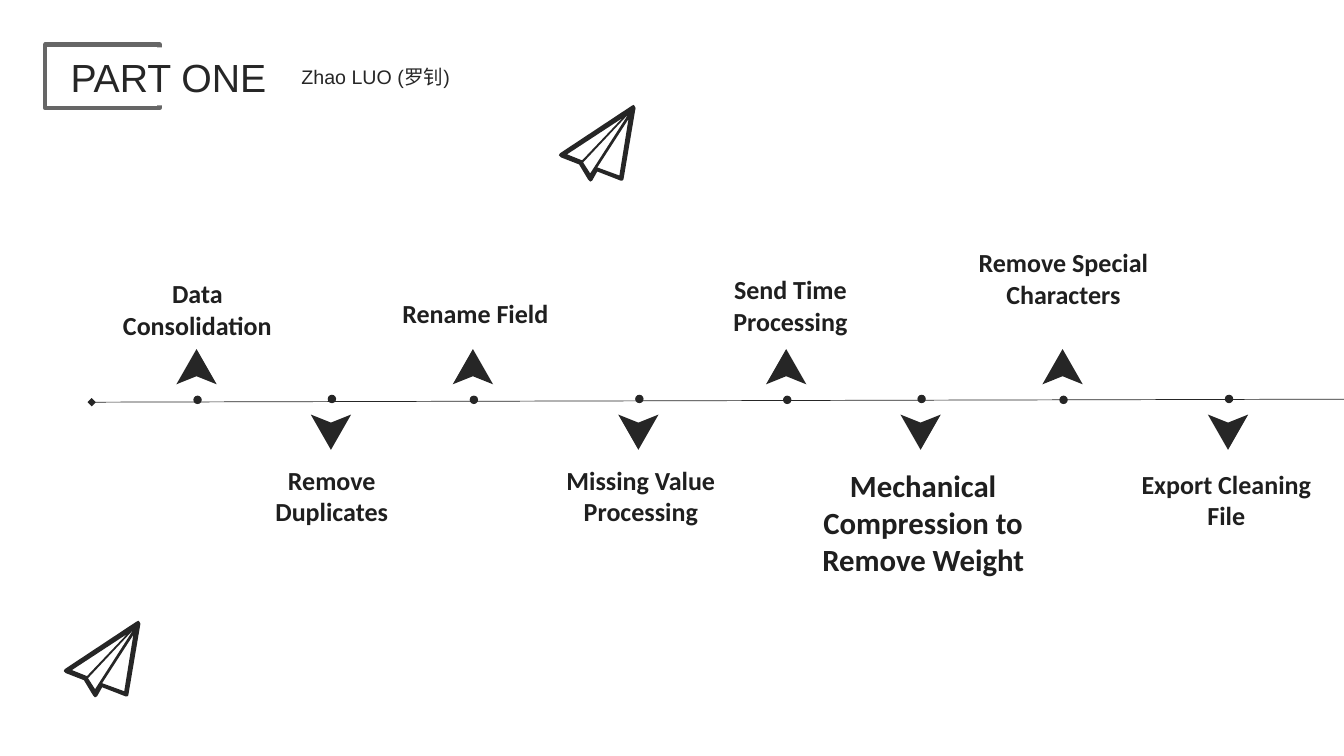
from dataclasses import dataclass

from lxml import etree
from pptx import Presentation
from pptx import util as u
from pptx.dml.color import RGBColor
from pptx.enum import shapes, text
from pptx.oxml import ns

COLUMNS, ROWS = 160, 90
CELL = 76200
FINE = 0.12


@dataclass(frozen=True)
class Theme:
    ink: RGBColor = RGBColor(0x26, 0x26, 0x26)
    label: RGBColor = RGBColor(0x1F, 0x1F, 0x1F)
    frame: RGBColor = RGBColor(0x66, 0x66, 0x66)
    paper: RGBColor = RGBColor(0xFF, 0xFF, 0xFF)
    head_font: str = "Arial"
    label_font: str = "Calibri"
    title_size: float = 28
    author_size: float = 14
    label_size: float = 18.6
    large_size: float = 22


def cells(*values):
    return [u.Emu(round(v * CELL)) for v in values]


class Deck:
    def __init__(self, theme):
        self.theme = theme
        self.prs = Presentation()
        self.prs.slide_width, self.prs.slide_height = cells(COLUMNS, ROWS)
        self.s = self.prs.slides.add_slide(self.prs.slide_layouts[5])

    def set_text(self, sp, words, size, font, color, align, anchor, bold=False):
        tf = sp.text_frame
        tf.word_wrap = True
        tf.auto_size = text.MSO_AUTO_SIZE.NONE
        tf.vertical_anchor = anchor
        p = tf.paragraphs[0]
        p.text = words
        p.alignment = align
        p.font.size = u.Pt(size)
        p.font.name = font
        p.font.bold = bold
        p.font.color.rgb = color

    def heading(self, sp, words, size):
        sp.fill.solid()
        sp.fill.fore_color.rgb = self.theme.paper
        self.set_text(sp, words, size, self.theme.head_font, self.theme.ink,
                      text.PP_ALIGN.LEFT, text.MSO_ANCHOR.MIDDLE)

    def title(self, words, *box):
        sp = self.s.shapes.title
        sp.left, sp.top, sp.width, sp.height = cells(*box)
        self.s.shapes.element.append(sp.element)
        self.heading(sp, words, self.theme.title_size)

    def author(self, words, *box):
        sp = self.s.shapes.add_textbox(*cells(*box))
        self.heading(sp, words, self.theme.author_size)

    def label(self, words, center, top, width, height, size):
        sp = self.s.shapes.add_textbox(*cells(center - width / 2, top, width, height))
        self.set_text(sp, words, size, self.theme.label_font, self.theme.label,
                      text.PP_ALIGN.CENTER, text.MSO_ANCHOR.TOP, bold=True)

    def frame(self, *box):
        sp = self.s.shapes.add_shape(shapes.MSO_SHAPE.RECTANGLE, *cells(*box))
        sp.shadow.inherit = False
        sp.fill.background()
        sp.line.color.rgb = self.theme.frame
        sp.line.width = u.Pt(3)

    def solid(self, sp):
        sp.shadow.inherit = False
        sp.fill.solid()
        sp.fill.fore_color.rgb = self.theme.ink
        sp.line.fill.background()
        return sp

    def dot(self, x, y, size):
        box = cells(x - size / 2, y - size / 2, size, size)
        return self.solid(self.s.shapes.add_shape(shapes.MSO_SHAPE.OVAL, *box))

    def outline(self, contours, x, y):
        first, *holes = contours
        pen = self.s.shapes.build_freeform(*first[0], scale=CELL * FINE)
        pen.add_line_segments(first[1:], close=True)
        for hole in holes:
            pen.move_to(*hole[0])
            pen.add_line_segments(hole[1:], close=True)
        return self.solid(pen.convert_to_shape(*cells(x, y)))

    def marker(self, x, axis, side):
        arrow = [(0, 0), (20, 35), (0, 27), (-20, 35)]
        tip = self.outline([[(dx, -side * dy) for dx, dy in arrow]], x, axis + 6 * side)
        dot = self.dot(x + 0.12, axis - 0.05 * side, 1)
        self.s.shapes.add_group_shape([dot, tip])

    def timeline(self, *ends):
        line = self.s.shapes.add_connector(shapes.MSO_CONNECTOR.STRAIGHT, *cells(*ends))
        line.line.color.rgb = self.theme.ink
        line.line.width = u.Pt(0.5)
        props = line.element.spPr
        etree.SubElement(props.find(ns.qn("a:ln")), ns.qn("a:headEnd"), type="diamond")
        etree.SubElement(props, ns.qn("a:effectLst"))


PLANE = [
    [(74, 0), (72, 1), (1, 48), (0, 50), (2, 52), (20, 59), (29, 74), (31, 76),
     (33, 75), (38, 66), (61, 75), (63, 75), (64, 74), (76, 3), (75, 1)],
    [(60, 70), (38, 62), (69, 14)],
    [(24, 57), (69, 9), (31, 68)],
    [(8, 49), (63, 13), (23, 55)],
]
AXIS = 47.55
FIRST_STEP, CYCLE = 23.4, 70.2
OFFSETS = (0, 16, 32.9, 52.6)


def main():
    theme = Theme()
    deck = Deck(theme)
    usual, large = theme.label_size, theme.large_size
    steps = [
        ("Data Consolidation", 23.5, 32.5, 23.3, 8.8, usual),
        ("Remove Duplicates", 39.5, 54.7, 23.3, 8.8, usual),
        ("Rename Field", 56.6, 34.8, 23.3, 4.9, usual),
        ("Missing Value Processing", 76.3, 54.7, 23.3, 8.8, usual),
        ("Send Time Processing", 94.1, 32, 23.3, 8.8, usual),
        ("Mechanical Compression to Remove Weight", 109.9, 55, 28.1, 19, large),
        ("Remove Special Characters", 126.6, 28.8, 23.3, 12.5, usual),
        ("Export Cleaning File", 146, 55.2, 23.3, 8.8, usual),
    ]
    deck.timeline(10.92, 47.88, COLUMNS, 47.52)
    for x, y in ((7.6, 73.9), (66.55, 12.5)):
        deck.outline(PLANE, x, y)
    for i, step in enumerate(steps):
        cycle, place = divmod(i, len(OFFSETS))
        side = 1 if i % 2 else -1
        deck.marker(FIRST_STEP + cycle * CYCLE + OFFSETS[place], AXIS, side)
        deck.label(*step)
    deck.frame(5.4, 5.3, 13.6, 7.6)
    deck.title("PART ONE", 7.2, 5.65, 27.4, 6.9)
    deck.author("Zhao LUO (罗钊)", 34.7, 7.1, 23.3, 4.1)
    deck.prs.save("out.pptx")


if __name__ == "__main__":
    main()
